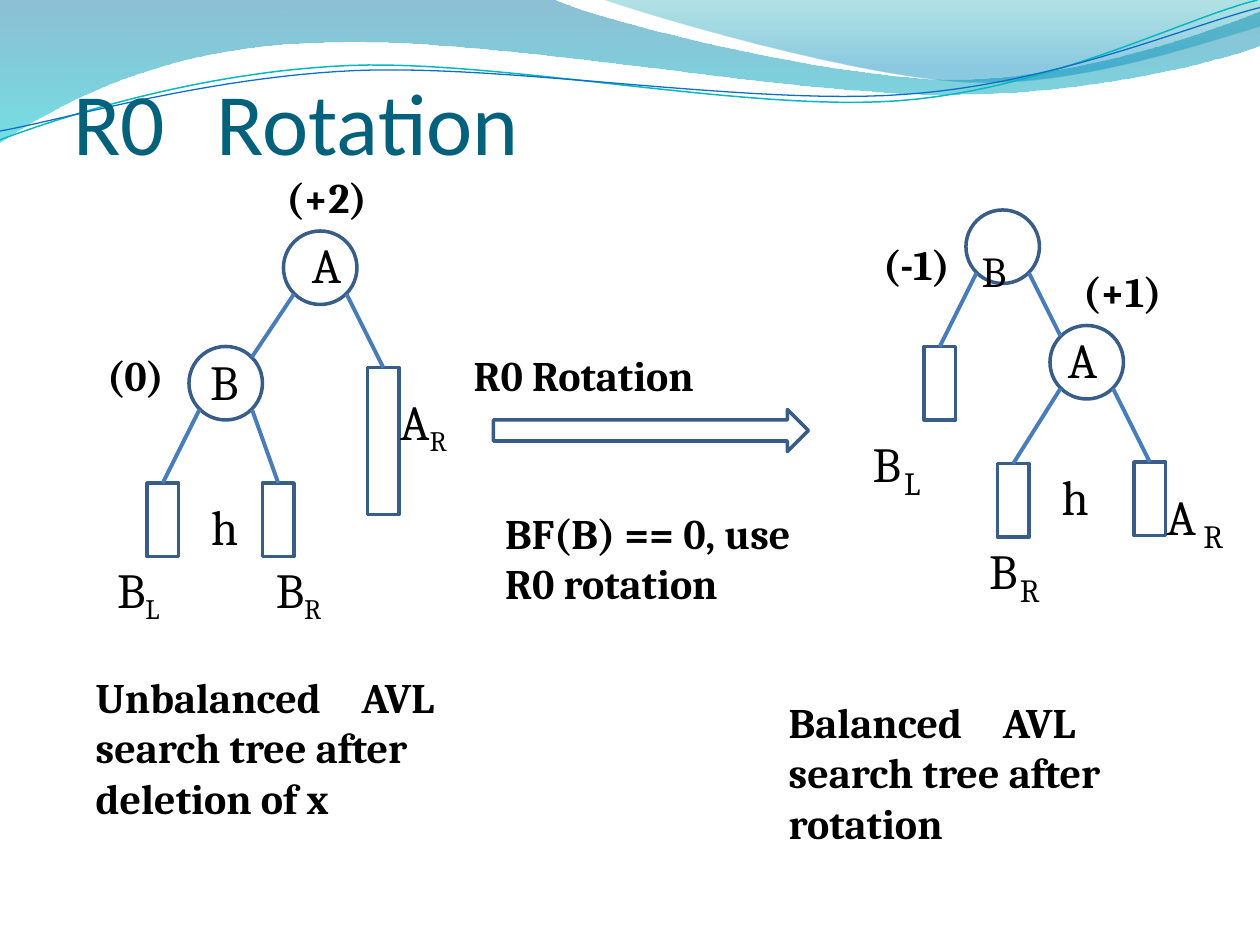
from lxml import etree
from pptx import Presentation
from pptx.dml.color import RGBColor
from pptx.enum.shapes import MSO_CONNECTOR, MSO_SHAPE
from pptx.enum.text import MSO_ANCHOR, MSO_AUTO_SIZE, PP_ALIGN
from pptx.oxml.ns import qn
from pptx.util import Inches, Pt

OVAL, RECT, ARROW = MSO_SHAPE.OVAL, MSO_SHAPE.RECTANGLE, MSO_SHAPE.RIGHT_ARROW
STRAIGHT = MSO_CONNECTOR.STRAIGHT
LEFT, CENTER = PP_ALIGN.LEFT, PP_ALIGN.CENTER
OUTLINE, EDGE, BLACK = "385D89", "497DBA", "000000"
NODE = 7  # diameter, in grid cells
STEPS = 24


def cell(count):
    """Length of grid cells, twelve to the inch."""
    return Inches(count / 12)


def color(code):
    return RGBColor.from_string(code)


def stroke(shape, code, width):
    shape.line.color.rgb = color(code)
    shape.line.width = Pt(width)


def trace(start, parts):
    """Points along lines (x, y) and cubic curves (x1, y1, x2, y2, x, y)."""
    points = [start]
    for part in parts:
        if len(part) == 2:
            points.append(part)
            continue
        knots = [points[-1], part[:2], part[2:4], part[4:]]
        for step in range(1, STEPS + 1):
            t = step / STEPS
            mix = ((1 - t) ** 3, 3 * t * (1 - t) ** 2, 3 * t * t * (1 - t), t ** 3)
            points.append(tuple(sum(m * k[axis] for m, k in zip(mix, knots))
                                for axis in (0, 1)))
    return [(Inches(x), Inches(y)) for x, y in points]


def wave(slide, start, parts, close):
    first, *rest = trace(start, parts)
    pen = slide.shapes.build_freeform(*first)
    pen.add_line_segments(rest, close=close)
    shape = pen.convert_to_shape()
    shape.shadow.inherit = False
    return shape


def band(slide, start, parts, stops):
    """Filled wave; each stop is (position, colour, opacity in percent)."""
    shape = wave(slide, start, parts, True)
    shape.line.fill.background()
    shape.fill.gradient()
    shape.fill.gradient_angle = 270
    for stop, (place, code, _) in zip(shape.fill.gradient_stops, stops):
        stop.position = place
        stop.color.rgb = color(code)
    for tag, (_, _, alpha) in zip(shape._element.spPr.iter(qn("a:srgbClr")), stops):
        etree.SubElement(tag, qn("a:alpha"), val=str(alpha * 1000))


def curve(slide, start, parts, code, width):
    shape = wave(slide, start, parts, False)
    shape.fill.background()
    stroke(shape, code, width)


def outline(slide, kind, x, y, w, h):
    shape = slide.shapes.add_shape(kind, cell(x), cell(y), cell(w), cell(h))
    shape.shadow.inherit = False
    shape.fill.background()
    stroke(shape, OUTLINE, 2)
    return shape


def edge(slide, x, y, end, box=None):
    line = slide.shapes.add_connector(STRAIGHT, cell(x), cell(y), *map(cell, end))
    if box is not None:
        line.end_connect(box, 0)
    stroke(line, EDGE, 2.25)
    etree.SubElement(line._element.spPr, qn("a:effectLst"))


def tree(slide, top, child, side, boxes):
    """Two nodes, child left (-1) or right (1) of top, and (owner, side, box)s."""
    for x, y in (top, child):
        outline(slide, OVAL, x, y, NODE, NODE)

    def foot(node, way):
        return node[0] + (1 if way < 0 else 6), node[1] + 6

    near = child[0] + (6 if side < 0 else 1), child[1] + 1
    edge(slide, *foot(top, side), near)
    for owner, way, (x, y, h) in boxes:
        box = outline(slide, RECT, x, y, 3, h)
        edge(slide, *foot(owner, way), (x + 1.5, y), box)


def tab(par, inches):
    stops = etree.SubElement(par._p.get_or_add_pPr(), qn("a:tabLst"))
    etree.SubElement(stops, qn("a:tab"), pos=str(Inches(inches)), algn="l")


def write(par, text, size, bold=False, sub=(27.8, -21), indent=0.01, stop=None):
    """Fill a paragraph; parts between underscores are lowered."""
    par._p.get_or_add_pPr().set("marL", str(Inches(indent)))
    if stop:
        tab(par, stop)
    for index, part in enumerate(text.split("_")):
        run = par.add_run()
        run.text = part
        font = run.font
        font.name, font.bold = "Cambria", bold
        font.size = Pt(sub[0] if index % 2 else size)
        font.color.rgb = color(BLACK)
        if index % 2:
            font._element.set("baseline", str(sub[1] * 1000))


def label(slide, x, y, w, h, text, size=28, inset=0.01, **look):
    box = slide.shapes.add_textbox(cell(x), cell(y), cell(w), cell(h))
    frame = box.text_frame
    frame.word_wrap = True
    frame.margin_left = frame.margin_right = frame.margin_bottom = 0
    frame.margin_top = Inches(inset)
    write(frame.paragraphs[0], text, size, **look)
    return frame


def more(frame, text, size, gap, **look):
    par = frame.add_paragraph()
    write(par, text, size, **look)
    par.space_before = Pt(gap)
    return par


def backdrop(slide):
    band(slide, (0, 0), [
        (4.4, 0), (4.76, 0.17, 6.64, 0.63, 7.58, 0.63),
        (8.53, 0.63, 9.58, 0.26, 10, 0.09), (10, 0.36),
        (9.83, 0.44, 8.7, 0.76, 7.46, 0.75), (6.22, 0.75, 3.82, 0.28, 2.57, 0.34),
        (1.29, 0.36, 0.46, 0.83, 0, 1.13)],
        [(0, "0074A1", 45), (1, "00C6CF", 55)])
    band(slide, (4.79, 0), [
        (5.09, 0.11, 6.82, 0.62, 7.69, 0.65),
        (8.56, 0.69, 9.61, 0.32, 10, 0.21), (10, 0)],
        [(0, "00A1A9", 30), (0.8, "008BBF", 45)])
    curve(slide, (0, 1.11), [
        (0.48, 0.93, 1.58, 0.57, 2.77, 0.52), (3.95, 0.47, 5.93, 0.89, 7.13, 0.8),
        (8.33, 0.71, 9.38, 0.15, 9.98, 0)], "0AB8BF", 0.85)
    curve(slide, (0, 1.04), [
        (0.47, 0.96, 1.64, 0.61, 2.83, 0.56), (4.03, 0.51, 5.97, 0.84, 7.17, 0.75),
        (8.36, 0.67, 9.41, 0.21, 10, 0.06)], "0F6FC6", 0.75)


def heading(slide):
    title = slide.shapes.title
    slide.shapes._spTree.append(title._element)
    title.left, title.top, title.width, title.height = map(
        Inches, (0.58, 0.51, 6.2, 0.86))
    frame = title.text_frame
    frame.auto_size = MSO_AUTO_SIZE.NONE
    frame.vertical_anchor = MSO_ANCHOR.BOTTOM
    frame.margin_left = frame.margin_right = frame.margin_bottom = 0
    frame.margin_top = Inches(0.01)
    par = frame.paragraphs[0]
    par.text = "R0\tRotation"
    par.alignment = LEFT
    tab(par, 1.14)
    font = par.runs[0].font
    font.name, font.size = "Calibri", Pt(50)
    font.color.rgb = color("04617B")


def before(slide):
    a, b = (27, 22), (18, 33)
    tree(slide, a, b, -1, [(a, 1, (35, 35, 14)), (b, -1, (14, 46, 7)),
                           (b, 1, (25, 46, 7))])
    frame = label(slide, 27, 15.1, 8.2, 13, "(+2)", 24, 0.1, bold=True, indent=0)
    frame.paragraphs[0].alignment = CENTER
    more(frame, "A", 28, 7.5, indent=0).alignment = CENTER
    label(slide, 10.1, 33.2, 5.8, 5.2, "(0)", 24, bold=True)
    label(slide, 19.9, 33.4, 3.2, 5.9, "B")
    label(slide, 38, 37.2, 5.6, 5.9, "A_R_")
    label(slide, 20, 47.2, 3, 5.9, "h")
    frame = label(slide, 9, 53.2, 35, 24.8, "B_L\t_B_R_", indent=0.18, stop=1.26)
    more(frame, "Unbalanced\tAVL search tree after deletion of x", 24, 26.6,
         bold=True, stop=2.11)


def middle(slide):
    outline(slide, ARROW, 47, 39, 30, 4)
    label(slide, 45, 33.2, 23, 5.2, "R0 Rotation", 24, bold=True)
    frame = label(slide, 48, 48.2, 31.2, 10, "BF(B) == 0, use", 24, bold=True)
    more(frame, "R0 rotation", 24, 0, bold=True)


def after(slide):
    b, a = (92, 20), (100, 31)
    tree(slide, b, a, 1, [(b, -1, (88, 33, 7)), (a, -1, (95, 44.15, 7)),
                          (a, 1, (108, 44, 7))])
    label(slide, 84, 19.6, 13.1, 5.8, "(-1)\t_B_", 24, bold=True,
          sub=(42, -9), stop=0.78).paragraphs[0].runs[1].font.bold = False
    frame = label(slide, 101.6, 24.1, 9.6, 13, "(+1)", 24, 0.1, bold=True, indent=0.13)
    more(frame, "A", 28, 7.5)
    label(slide, 101, 44.3, 3, 5.9, "h")
    for x, y, name, shift, low in ((83, 41.2, "B", 3, "L"), (94.1, 51.4, "B", 2.9, "R"),
                                   (111, 46.2, "A", 3.5, "R")):
        label(slide, x, y, 3.6, 5.9, name)
        label(slide, x + shift, y + 2.7, 2.3, 4.1, low, 18.5, 0.02)
    label(slide, 75, 66.2, 35, 14.8, "Balanced\tAVL search tree after rotation", 24,
          bold=True, stop=1.7)


def main():
    deck = Presentation()
    deck.slide_width, deck.slide_height = Inches(10), Inches(7.5)
    slide = deck.slides.add_slide(deck.slide_layouts[5])
    for part in (backdrop, heading, before, middle, after):
        part(slide)
    deck.save("out.pptx")


if __name__ == "__main__":
    main()
